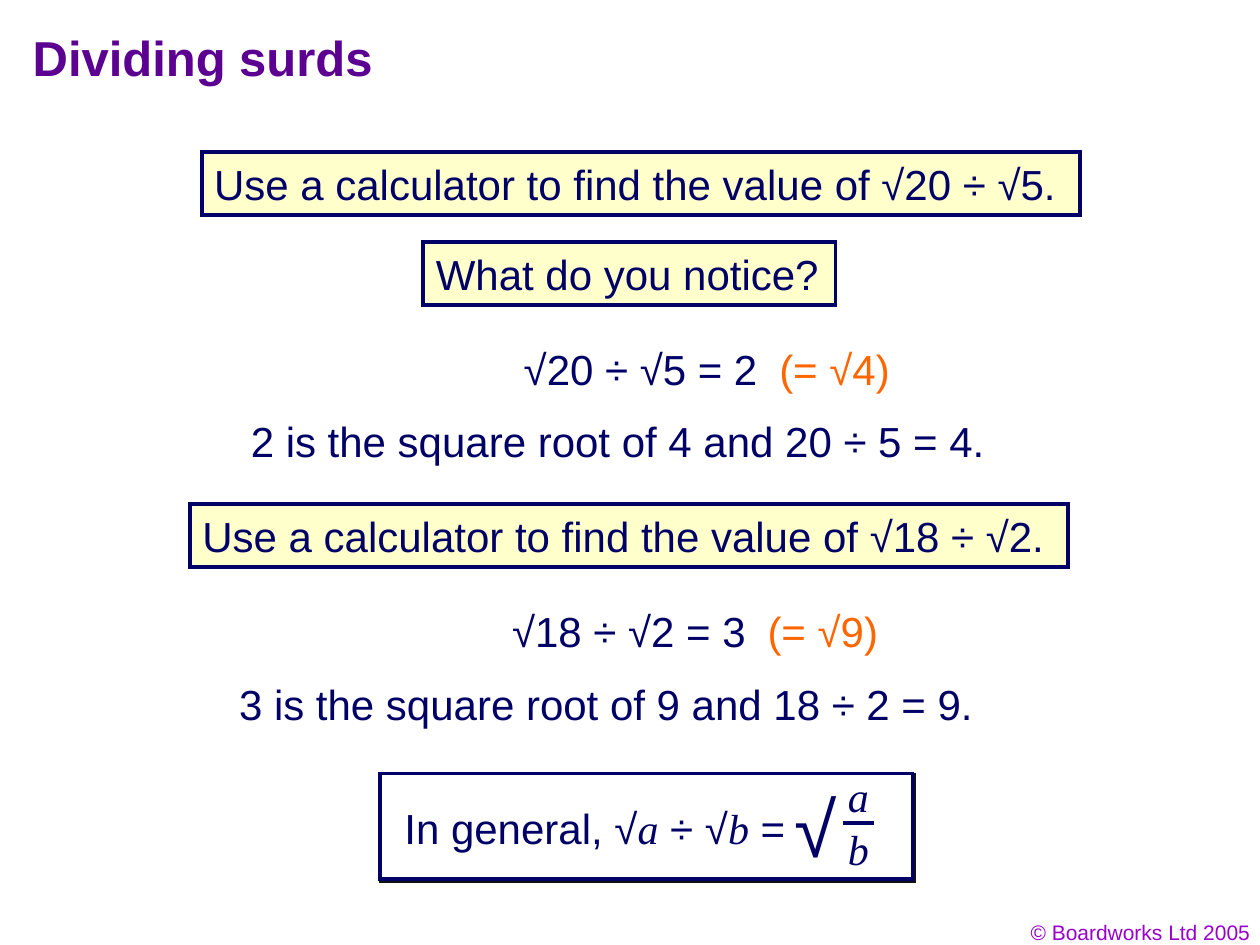
"""Build the slide on dividing surds."""
import lxml.etree
import pptx
import pptx.dml.color
import pptx.enum.shapes
import pptx.enum.text
import pptx.oxml
import pptx.oxml.ns
import pptx.util

Pt = pptx.util.Pt
RGBColor = pptx.dml.color.RGBColor
PP_ALIGN = pptx.enum.text.PP_ALIGN
MSO_ANCHOR = pptx.enum.text.MSO_ANCHOR
qn = pptx.oxml.ns.qn

PURPLE = RGBColor(0x5B, 0x00, 0x91)
VIOLET = RGBColor(0x99, 0x00, 0xCC)
INK = RGBColor(0x01, 0x00, 0x66)
NAVY = RGBColor(0x00, 0x00, 0x66)
ORANGE = RGBColor(0xFF, 0x66, 0x00)
CREAM = RGBColor(0xFF, 0xFF, 0xCC)
WHITE = RGBColor(0xFF, 0xFF, 0xFF)
SHADOW = RGBColor(0x11, 0x11, 0x11)

SANS = "Arial"
SERIF = "Times New Roman"
TEXT_HEIGHT = 36


def format_font(font, size=24, color=INK, name=SANS):
    """Set the size, colour and typeface of a font."""
    font.size = Pt(size)
    font.color.rgb = color
    font.name = name


def add_title(slide, text):
    """Place and format the title placeholder."""
    title = slide.shapes.title
    title.left, title.top, title.width, title.height = Pt(11.5), Pt(8.5), Pt(612), Pt(48)
    frame = title.text_frame
    frame.text = text
    frame.vertical_anchor = MSO_ANCHOR.MIDDLE
    paragraph = frame.paragraphs[0]
    paragraph.alignment = PP_ALIGN.LEFT
    format_font(paragraph.runs[0].font, 28, PURPLE)
    paragraph.runs[0].font.bold = True


def add_label(shapes, left, top, width, pieces, size=24, color=INK, align=PP_ALIGN.LEFT):
    """Add one line of text made of (text, is_variable) pieces."""
    label = shapes.add_textbox(Pt(left), Pt(top), Pt(width), Pt(size * 1.2 + 7.2))
    label.text_frame.word_wrap = True
    paragraph = label.text_frame.paragraphs[0]
    paragraph.alignment = align
    for text, is_variable in pieces:
        run = paragraph.add_run()
        run.text = text
        format_font(run.font, size, color, SERIF if is_variable else SANS)
        run.font.italic = is_variable


def add_box(shapes, left, top, width, height, fill, text, size=24):
    """Add a sharp-cornered outlined rectangle with left-aligned text."""
    box = shapes.add_shape(pptx.enum.shapes.MSO_SHAPE.RECTANGLE,
                           Pt(left), Pt(top), Pt(width), Pt(height))
    box.shadow.inherit = False
    box.fill.solid()
    box.fill.fore_color.rgb = fill
    box.line.color.rgb = NAVY
    box.line.width = Pt(2.25)
    lxml.etree.SubElement(box._element.spPr.find(qn("a:ln")), qn("a:miter"), lim="800000")
    frame = box.text_frame
    frame.word_wrap = True
    frame.vertical_anchor = MSO_ANCHOR.MIDDLE
    frame.text = text
    frame.paragraphs[0].alignment = PP_ALIGN.LEFT
    format_font(frame.paragraphs[0].runs[0].font, size)
    return box


def add_shadow(shape):
    """Give a shape a small hard shadow to the lower right."""
    effects = shape._element.spPr.find(qn("a:effectLst"))
    shadow = lxml.etree.SubElement(effects, qn("a:outerShdw"), blurRad="0",
                                   dist=str(Pt(1.4)), dir="2700000", algn="ctr", rotWithShape="0")
    lxml.etree.SubElement(shadow, qn("a:srgbClr"), val=str(SHADOW))


def add_fraction_bar(shapes, left, top, width):
    """Add the line between numerator and denominator."""
    bar = shapes.add_connector(pptx.enum.shapes.MSO_CONNECTOR.STRAIGHT,
                               Pt(left), Pt(top), Pt(left + width), Pt(top))
    bar.line.color.rgb = NAVY
    bar.line.width = Pt(2.25)
    lxml.etree.SubElement(bar._element.spPr, qn("a:effectLst"))


def add_example(shapes, left, question_top, answer_top, dividend, divisor, quotient, root):
    """Add a calculator question with its answer and explanation."""
    surds = f"√{dividend} ÷ √{divisor}"
    add_box(shapes, left, question_top, 502, TEXT_HEIGHT, CREAM,
            f"Use a calculator to find the value of {surds}.")
    add_label(shapes, left + 177, answer_top, 154, [(f"{surds} = {root}", False)])
    add_label(shapes, left + 323, answer_top, 84, [(f"(= √{quotient})", False)], color=ORANGE)
    add_label(shapes, left + 21, answer_top + 41.5, 445,
              [(f"{root} is the square root of {quotient} and "
                f"{dividend} ÷ {divisor} = {quotient}.", False)])


def add_general_rule(slide):
    """Add the framed general rule as one group."""
    shapes = slide.shapes.add_group_shape().shapes
    frame = add_box(shapes, 217, 442, 304.5, 60.5, WHITE, "√", 44)
    frame.text_frame.margin_left = Pt(237)
    add_shadow(frame)
    add_label(shapes, 224, 455, 240,
              [("In general, √", False), ("a", True), (" ÷ √", False), ("b", True), (" =", False)])
    for variable, top in (("a", 437), ("b", 467.3)):
        add_label(shapes, 477.4, top, 30, [(variable, True)])
    add_fraction_bar(shapes, 481.7, 470.2, 18)


def main():
    """Build and save the presentation."""
    presentation = pptx.Presentation()
    presentation.slide_width, presentation.slide_height = Pt(720), Pt(540)
    slide = presentation.slides.add_slide(presentation.slide_layouts[5])
    add_label(slide.shapes, 554, 522, 167.5, [("© Boardworks Ltd 2005", False)],
              12, VIOLET, PP_ALIGN.RIGHT)
    add_title(slide, "Dividing surds")
    add_example(slide.shapes, 115.2, 87, 192.5, 20, 5, 4, 2)
    add_box(slide.shapes, 242, 138.3, 235.5, TEXT_HEIGHT, CREAM, "What do you notice?")
    add_example(slide.shapes, 108.5, 288, 342.5, 18, 2, 9, 3)
    add_general_rule(slide)
    presentation.save("out.pptx")


if __name__ == "__main__":
    main()
